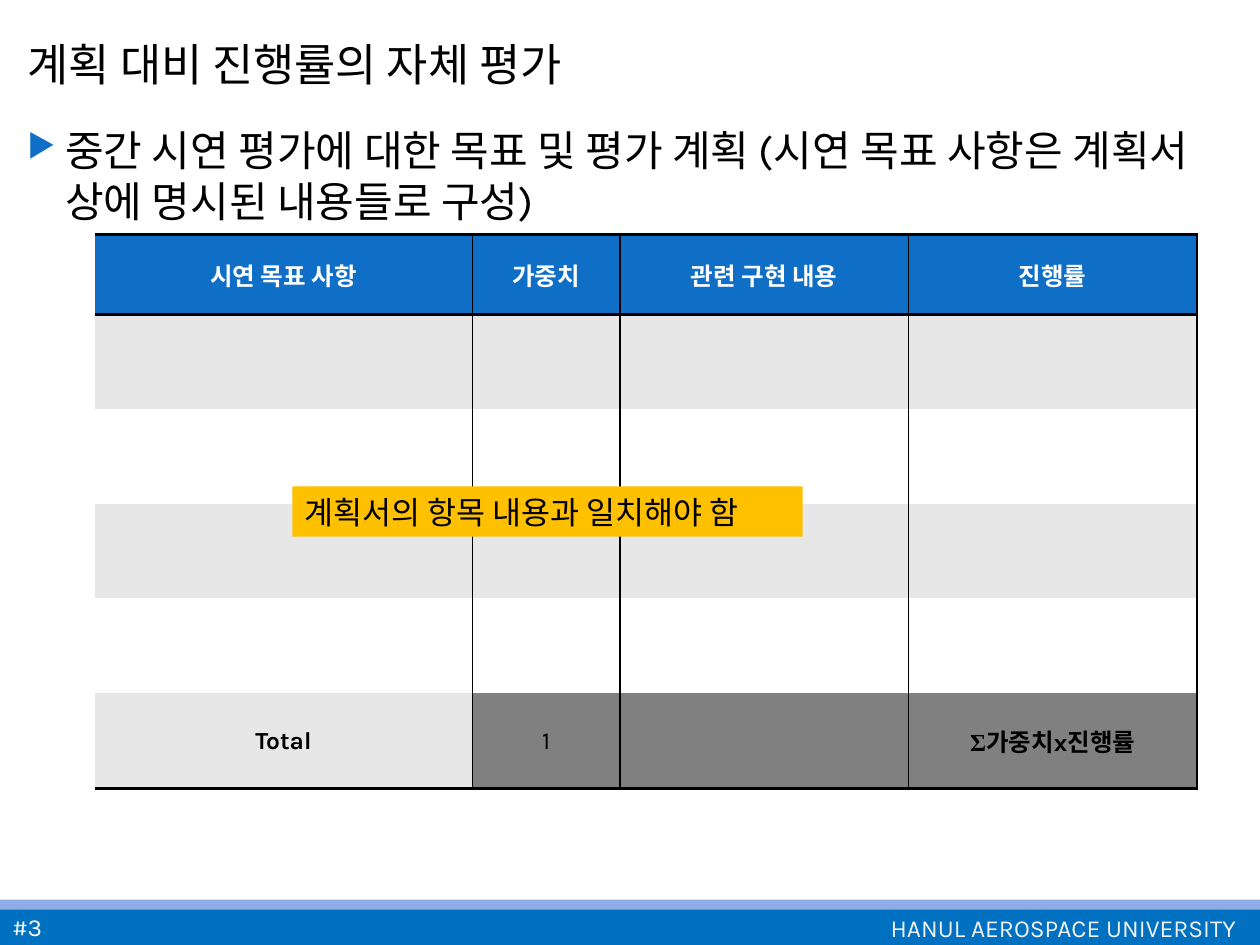
from lxml import etree
from pptx import Presentation
from pptx.dml.color import RGBColor
from pptx.enum.shapes import MSO_SHAPE as Shape
from pptx.enum.text import MSO_ANCHOR as Anchor, PP_ALIGN as Align
from pptx.oxml.ns import qn
from pptx.util import Inches, Pt

BLUE, LIGHT_GRAY, GRAY = "0F6FC6", "E7E7E7", "808080"
BLACK, WHITE = "000000", "FFFFFF"
COLUMN_WIDTHS = [3, 1.17, 2.29, 2.29]
ROW_HEIGHTS = [0.64, 0.75, 0.75, 0.75, 0.75, 0.76]
HEADINGS = ["시연 목표 사항", "가중치", "관련 구현 내용", "진행률"]
TOTALS = ["Total", "1", "", "Σ가중치x진행률"]


def rgb(color):
    return RGBColor.from_string(color)


def set_font(paragraph, size, color, bold=False):
    font = paragraph.font
    font.name, font.size, font.bold = "Karla", Pt(size), bold
    font.color.rgb = rgb(color)


def add_box(slide, box, fill):
    shape = slide.shapes.add_shape(Shape.RECTANGLE, *map(Inches, box))
    shape.shadow.inherit = False
    shape.fill.solid()
    shape.fill.fore_color.rgb = rgb(fill)
    shape.line.fill.background()
    return shape


def write_text(shape, text, size, color, anchor=Anchor.MIDDLE, wrap=False):
    frame = shape.text_frame
    frame.word_wrap, frame.vertical_anchor = wrap, anchor
    frame.text = text
    paragraph = frame.paragraphs[0]
    paragraph.alignment = Align.LEFT
    set_font(paragraph, size, color)
    return paragraph


def add_text(slide, box, *args, **options):
    textbox = slide.shapes.add_textbox(*map(Inches, box))
    return write_text(textbox, *args, **options)


def add_title(slide, box):
    title = slide.shapes.title
    title.left, title.top, title.width, title.height = map(Inches, box)
    paragraph = write_text(title, "계획 대비 진행률의 자체 평가", 32, BLACK, wrap=True)
    paragraph.runs[0].font._element.set("cap", "small")


def add_bullet(slide, box):
    paragraph = add_text(
        slide, box,
        "중간 시연 평가에 대한 목표 및 평가 계획 (시연 목표 사항은 계획서 상에 명시된 내용들로 구성)",
        24, BLACK, anchor=Anchor.TOP, wrap=True)
    paragraph.space_before = Pt(6)
    props = paragraph._p.get_or_add_pPr()
    props.set("marL", str(Inches(0.3)))
    props.set("indent", str(Inches(-0.3)))
    bullet_color = etree.Element(qn("a:buClr"))
    etree.SubElement(bullet_color, qn("a:srgbClr"), val=BLUE)
    bullet_parts = [bullet_color,
                    etree.Element(qn("a:buSzPct"), val="76000"),
                    etree.Element(qn("a:buChar"), char="▶")]
    position = props.index(props.find(qn("a:spcBef"))) + 1
    props[position:position] = bullet_parts


def set_borders(cell, widths):
    """Draw black borders of the given point widths; zero means no line."""
    props = cell._tc.get_or_add_tcPr()
    for position, (side, width) in enumerate(zip("LRTB", widths)):
        line = etree.Element(qn(f"a:ln{side}"), w=str(Pt(width)))
        if width:
            fill = etree.SubElement(line, qn("a:solidFill"))
            etree.SubElement(fill, qn("a:srgbClr"), val=BLACK)
        else:
            etree.SubElement(line, qn("a:noFill"))
        props.insert(position, line)


def fill_cell(cell, text, color, bold):
    cell.vertical_anchor = Anchor.MIDDLE
    paragraph = cell.text_frame.paragraphs[0]
    paragraph.alignment = Align.CENTER
    set_font(paragraph, 14, color, bold)
    if text.startswith("Σ"):
        sigma = paragraph.add_run()
        sigma.text, text = text[0], text[1:]
        sigma.font.name = "Times New Roman"
    if text:
        paragraph.add_run().text = text


def add_progress_table(slide, left, top):
    last_row, last_column = len(ROW_HEIGHTS) - 1, len(COLUMN_WIDTHS) - 1
    table = slide.shapes.add_table(
        last_row + 1, last_column + 1, Inches(left), Inches(top),
        Inches(sum(COLUMN_WIDTHS)), Inches(sum(ROW_HEIGHTS))).table
    table.horz_banding = False
    for column, width in zip(table.columns, COLUMN_WIDTHS):
        column.width = Inches(width)
    for r, height in enumerate(ROW_HEIGHTS):
        table.rows[r].height = Inches(height)
        for c in range(last_column + 1):
            cell = table.cell(r, c)
            fill = LIGHT_GRAY if r % 2 else WHITE
            if r == 0:
                fill = BLUE
                fill_cell(cell, HEADINGS[c], WHITE, True)
            elif r == last_row:
                fill = GRAY if c else LIGHT_GRAY
                fill_cell(cell, TOTALS[c], BLACK, c in (0, last_column))
            cell.fill.solid()
            cell.fill.fore_color.rgb = rgb(fill)
            set_borders(cell, [1 if c else 0, 1, 2 if r < 2 else 0,
                               2 if r in (0, last_row) else 0])


def add_note(slide, box):
    note = add_box(slide, box, "FFC000")
    write_text(note, "계획서의 항목 내용과 일치해야 함", 18, BLACK)


def add_footer(slide, top, width):
    add_box(slide, (0, top + 0.07, width, 0.29), "0070C0")
    add_box(slide, (0, top, width, 0.08), "8FADE9")
    add_text(slide, (width - 3.03, top + 0.05, 3.16, 0.34),
             "HANUL AEROSPACE UNIVERSITY", 14, "F2F2F2")
    add_text(slide, (0, top + 0.07, 2.17, 0.29), "#3", 14, WHITE)


def main():
    prs = Presentation()
    prs.slide_width, prs.slide_height = Inches(10), Inches(7.5)
    slide = prs.slides.add_slide(prs.slide_layouts[5])
    add_footer(slide, 7.14, 10)
    add_title(slide, (0.12, 0.09, 9.76, 0.75))
    add_bullet(slide, (0.12, 0.94, 9.76, 6.14))
    add_progress_table(slide, 0.75, 1.86)
    add_note(slide, (2.32, 3.86, 4.05, 0.4))
    prs.save("out.pptx")


if __name__ == "__main__":
    main()
